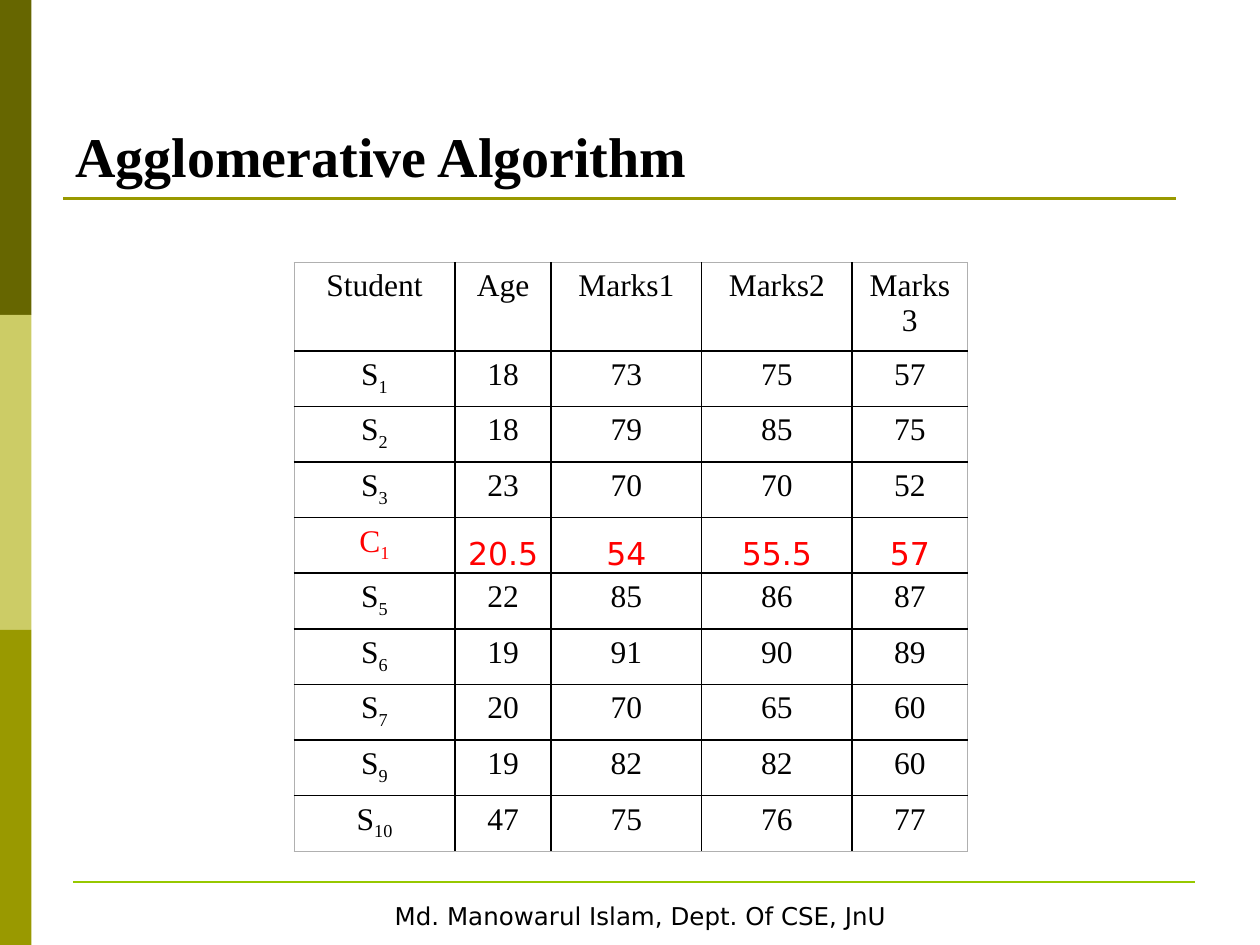
from lxml.etree import SubElement
from pptx import Presentation
from pptx.dml.color import RGBColor
from pptx.enum.shapes import MSO_CONNECTOR, MSO_SHAPE
from pptx.enum.text import MSO_ANCHOR, PP_ALIGN
from pptx.oxml import parse_xml
from pptx.oxml.ns import nsdecls, qn
from pptx.util import Pt

BLACK = RGBColor(0, 0, 0)
WHITE = RGBColor(0xFF, 0xFF, 0xFF)
RED = RGBColor(0xFF, 0, 0)
GRAY = RGBColor(0xB0, 0xB0, 0xB0)
DARK_OLIVE = RGBColor(0x66, 0x66, 0)
PALE_OLIVE = RGBColor(0xCC, 0xCC, 0x66)
OLIVE = RGBColor(0x99, 0x99, 0)
GREEN = RGBColor(0x96, 0xC8, 0)
SERIF = "Times New Roman"
SANS = "DejaVu Sans"

HEADER = ["Student", "Age", "Marks1", "Marks2", "Marks3"]
ROWS = [
    ("S", "1", 18, 73, 75, 57),
    ("S", "2", 18, 79, 85, 75),
    ("S", "3", 23, 70, 70, 52),
    ("C", "1", 20.5, 54, 55.5, 57),
    ("S", "5", 22, 85, 86, 87),
    ("S", "6", 19, 91, 90, 89),
    ("S", "7", 20, 70, 65, 60),
    ("S", "9", 19, 82, 82, 60),
    ("S", "10", 47, 75, 76, 77),
]
COL_WIDTHS = [92, 55, 86, 86, 66]
HEADER_HEIGHT, ROW_HEIGHT = 47.5, 30


def set_font(p, name, size, color, bold=False):
    p.font.name = name
    p.font.size = Pt(size)
    p.font.color.rgb = color
    p.font.bold = bold


def add_rect(slide, x, y, w, h, fill):
    sp = slide.shapes.add_shape(MSO_SHAPE.RECTANGLE, Pt(x), Pt(y), Pt(w), Pt(h))
    sp.shadow.inherit = False
    sp.fill.solid()
    sp.fill.fore_color.rgb = fill
    sp.line.fill.background()
    return sp


def add_rule(slide, x, y, w, color):
    line = slide.shapes.add_connector(
        MSO_CONNECTOR.STRAIGHT, Pt(x), Pt(y), Pt(x + w), Pt(y))
    line.line.color.rgb = color
    line.line.width = Pt(1.5)
    SubElement(line._element.spPr, qn("a:effectLst"))


def add_sidebar(slide, x, y, w, h):
    colors = [DARK_OLIVE, PALE_OLIVE, OLIVE]
    band = h / len(colors)
    for i, color in enumerate(colors):
        add_rect(slide, x, y + i * band, w, band, color)


def add_title(slide, x, y, w, h):
    tf = slide.shapes.add_textbox(Pt(x), Pt(y), Pt(w), Pt(h)).text_frame
    tf.word_wrap = True
    tf.vertical_anchor = MSO_ANCHOR.BOTTOM
    p = tf.paragraphs[0]
    p.text = "Agglomerative Algorithm"
    set_font(p, SERIF, 32, BLACK, bold=True)
    add_rule(slide, x, y + h + 2, 636, OLIVE)


def add_footer(slide, x, y, w, h):
    add_rule(slide, x + 6, y - 7, 641, GREEN)
    sp = add_rect(slide, x, y, w, h, WHITE)
    tf = sp.text_frame
    tf.word_wrap = False
    tf.vertical_anchor = MSO_ANCHOR.MIDDLE
    p = tf.paragraphs[0]
    p.text = "Md. Manowarul Islam, Dept. Of CSE, JnU"
    p.alignment = PP_ALIGN.CENTER
    set_font(p, SANS, 14, BLACK)


def set_borders(cell, outer_sides):
    """Draw gray hairlines on the outer sides and black lines on the others."""
    tcPr = cell._tc.get_or_add_tcPr()
    for i, side in enumerate("LRTB"):
        color, width = (GRAY, 0.5) if side in outer_sides else (BLACK, 1)
        tcPr.insert(i, parse_xml(
            f'<a:ln{side} {nsdecls("a")} w="{Pt(width)}"><a:solidFill>'
            f'<a:srgbClr val="{color}"/></a:solidFill></a:ln{side}>'))


def fill_cell(cell, text, subscript="", color=BLACK, font=SERIF):
    cell.fill.background()
    p = cell.text_frame.paragraphs[0]
    p.alignment = PP_ALIGN.CENTER
    set_font(p, font, 18, color)
    p.add_run().text = text
    if subscript:
        r = p.add_run()
        r.text = subscript
        r.font._element.set("baseline", "-25000")


def add_marks_table(slide, x, y):
    n_rows, n_cols = len(ROWS) + 1, len(HEADER)
    height = HEADER_HEIGHT + ROW_HEIGHT * len(ROWS)
    table = slide.shapes.add_table(
        n_rows, n_cols, Pt(x), Pt(y), Pt(sum(COL_WIDTHS)), Pt(height)).table
    table.first_row = table.horz_banding = False
    for col, width in zip(table.columns, COL_WIDTHS):
        col.width = Pt(width)
    for i, row in enumerate(table.rows):
        row.height = Pt(ROW_HEIGHT if i else HEADER_HEIGHT)

    for j, label in enumerate(HEADER):
        fill_cell(table.cell(0, j), label)
    for i, (letter, number, *values) in enumerate(ROWS, 1):
        is_cluster = letter == "C"
        color = RED if is_cluster else BLACK
        fill_cell(table.cell(i, 0), letter, number, color)
        for j, value in enumerate(values, 1):
            cell = table.cell(i, j)
            fill_cell(cell, str(value), color=color,
                      font=SANS if is_cluster else SERIF)
            if is_cluster:
                cell.vertical_anchor = MSO_ANCHOR.BOTTOM
                cell.margin_left = cell.margin_right = cell.margin_top = Pt(0.7)
                cell.margin_bottom = 0

    for i in range(n_rows):
        for j in range(n_cols):
            edges = {"L": j == 0, "R": j == n_cols - 1,
                     "T": i == 0, "B": i == n_rows - 1}
            set_borders(table.cell(i, j), [s for s in edges if edges[s]])


def main():
    prs = Presentation()
    prs.slide_width, prs.slide_height = Pt(720), Pt(540)
    slide = prs.slides.add_slide(prs.slide_layouts[6])
    add_sidebar(slide, 0, 0, 18, 540)
    add_footer(slide, 36, 511, 660, 25)
    add_title(slide, 36, 21.5, 648, 90)
    add_marks_table(slide, 168, 150)
    prs.save("out.pptx")


if __name__ == "__main__":
    main()
